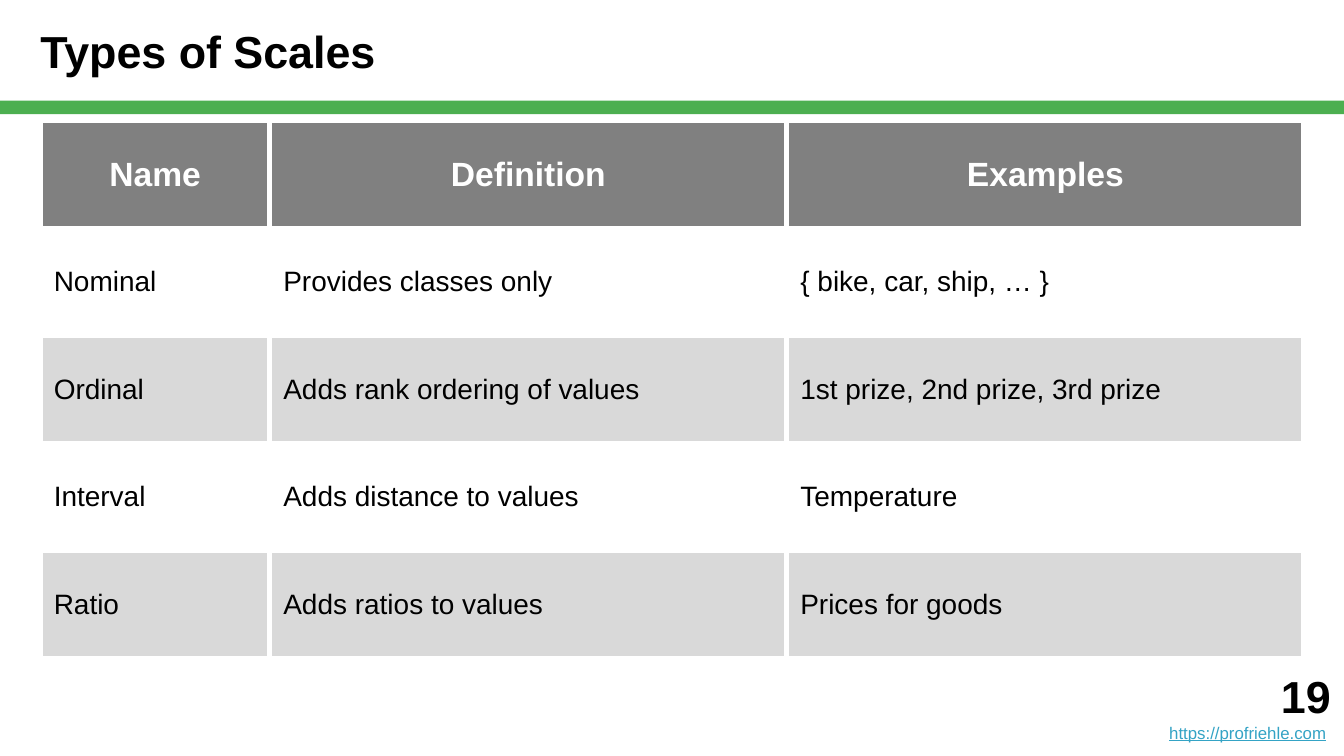
from lxml.etree import SubElement
from pptx import Presentation
from pptx.dml.color import RGBColor
from pptx.enum.shapes import MSO_SHAPE
from pptx.enum.text import MSO_ANCHOR, PP_ALIGN
from pptx.oxml.ns import qn
from pptx.util import Pt

ROWS = [
    ("Name", "Definition", "Examples"),
    ("Nominal", "Provides classes only", "{ bike, car, ship, … }"),
    ("Ordinal", "Adds rank ordering of values", "1st prize, 2nd prize, 3rd prize"),
    ("Interval", "Adds distance to values", "Temperature"),
    ("Ratio", "Adds ratios to values", "Prices for goods"),
]
COLUMN_SHARES = (123, 277, 277)
INSET = 7.2


def color(value):
    """Turn a hex string into a colour."""
    return RGBColor.from_string(value)


def write(para, text, size=15, ink="000000", bold=False, underline=False, align=PP_ALIGN.LEFT):
    """Add a formatted span of text to a paragraph."""
    para.alignment = align
    span = para.add_run()
    span.text = text
    span.font.name = "Arial"
    span.font.size = Pt(size)
    span.font.bold = bold
    span.font.underline = underline
    span.font.color.rgb = color(ink)


def add_frame(page, left, top, width, height, anchor, inset_left=INSET):
    """Add a wrapping text box and return its text frame."""
    box = page.shapes.add_textbox(Pt(left), Pt(top), Pt(width), Pt(height))
    frame = box.text_frame
    frame.word_wrap = True
    frame.vertical_anchor = anchor
    frame.margin_left = Pt(inset_left)
    frame.margin_right = frame.margin_top = frame.margin_bottom = Pt(INSET)
    return frame


def add_header(page, left, top, width, height):
    """Place the title and the green bar beneath it."""
    bar_height = 7.2
    title_height = height - bar_height
    bar = page.shapes.add_shape(
        MSO_SHAPE.RECTANGLE, Pt(left), Pt(top + title_height), Pt(width), Pt(bar_height)
    )
    bar.shadow.inherit = False
    bar.fill.solid()
    bar.fill.fore_color.rgb = color("4CAF50")
    bar.line.fill.background()
    frame = add_frame(page, left, top, width, title_height, MSO_ANCHOR.MIDDLE, inset_left=21.6)
    write(frame.paragraphs[0], "Types of Scales", size=24, bold=True)


def add_footer(page, left, top, width, height):
    """Place the page number above the web address."""
    frame = add_frame(page, left, top, width, height, MSO_ANCHOR.BOTTOM)
    write(frame.paragraphs[0], "19", size=24, bold=True, align=PP_ALIGN.RIGHT)
    para = frame.add_paragraph()
    write(para, "https://profriehle.com", size=9, ink="34A3C5", underline=True, align=PP_ALIGN.RIGHT)
    write(para, " ", size=9, ink="808080", align=PP_ALIGN.RIGHT)


def add_borders(cell, ink, weight):
    """Draw a solid border on all four sides of a cell."""
    properties = cell._tc.get_or_add_tcPr()
    for side in ("a:lnL", "a:lnR", "a:lnT", "a:lnB"):
        line = SubElement(properties, qn(side), w=str(Pt(weight)))
        SubElement(SubElement(line, qn("a:solidFill")), qn("a:srgbClr"), val=ink)


def style_cell(cell, fill):
    """Set borders, margins, anchor and fill of a cell."""
    add_borders(cell, "FFFFFF", 3)
    cell.margin_left = cell.margin_right = Pt(INSET)
    cell.margin_top = cell.margin_bottom = Pt(INSET)
    cell.vertical_anchor = MSO_ANCHOR.MIDDLE
    if fill:
        cell.fill.solid()
        cell.fill.fore_color.rgb = color(fill)
    else:
        cell.fill.background()


def add_scale_table(page, left, top, width, height):
    """Place the table of scales with shaded alternate rows."""
    table = page.shapes.add_table(
        len(ROWS), len(COLUMN_SHARES), Pt(left), Pt(top), Pt(width), Pt(height)
    ).table
    for column, share in zip(table.columns, COLUMN_SHARES):
        column.width = Pt(width * share / sum(COLUMN_SHARES))
    for row_index, texts in enumerate(ROWS):
        table.rows[row_index].height = Pt(height / len(ROWS))
        for column_index, text in enumerate(texts):
            cell = table.cell(row_index, column_index)
            para = cell.text_frame.paragraphs[0]
            if row_index == 0:
                style_cell(cell, "808080")
                write(para, text, size=18, ink="FFFFFF", bold=True, align=PP_ALIGN.CENTER)
            else:
                style_cell(cell, "D9D9D9" if row_index % 2 == 0 else None)
                write(para, text)


def main():
    """Build the slide and save the deck."""
    deck = Presentation()
    deck.slide_width, deck.slide_height = Pt(720), Pt(405)
    page = deck.slides.add_slide(deck.slide_layouts[6])
    add_header(page, 0, 0, 720, 61.2)
    add_footer(page, 576, 347.4, 144, 57.6)
    add_scale_table(page, 21.6, 64.8, 677, 288)
    deck.save("out.pptx")


if __name__ == "__main__":
    main()
